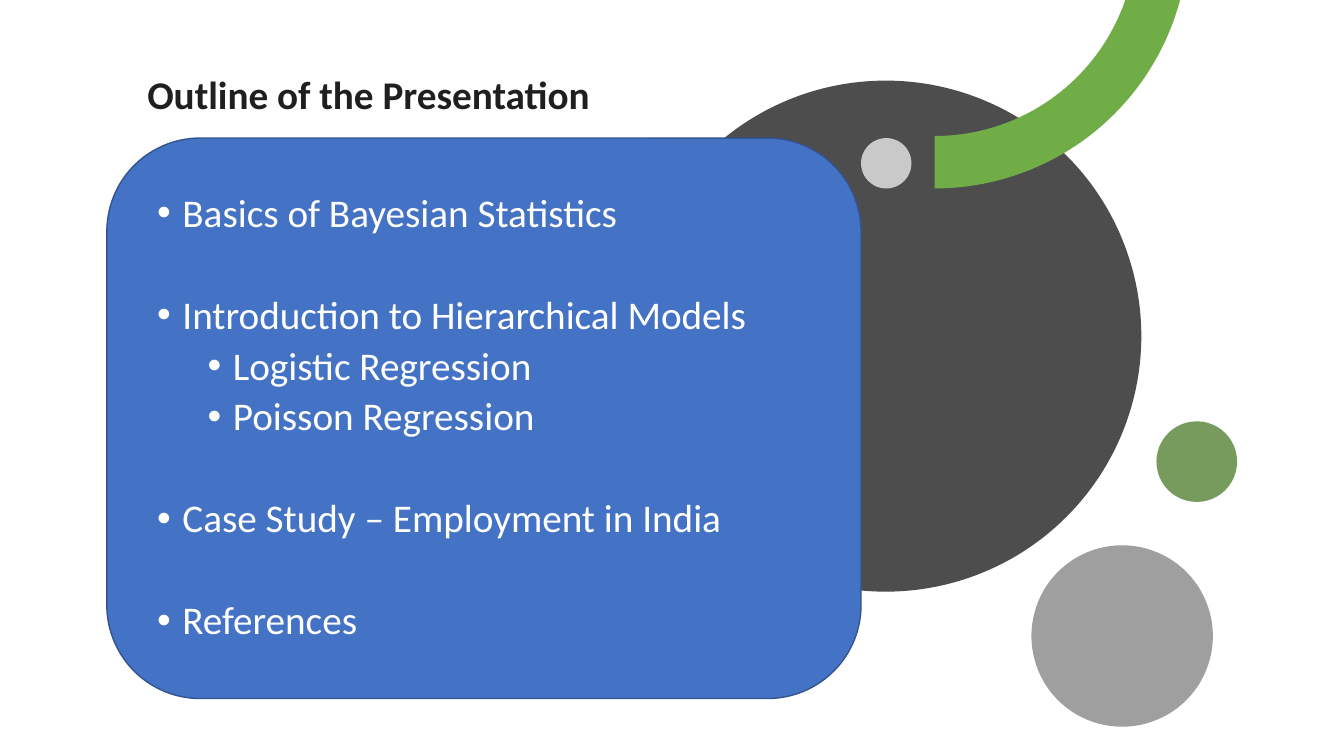
import math
from lxml import etree
from pptx import Presentation, util as u
from pptx.dml.color import RGBColor
from pptx.enum import shapes, text
from pptx.oxml.ns import qn

deck = Presentation()
deck.slide_width, deck.slide_height = u.Inches(13.33), u.Inches(7.5)
page = deck.slides.add_slide(deck.slide_layouts[6])


def paint(shape, fill, opacity=100, line=None):
    """Give a shape a flat fill, an optional outline and no shadow."""
    shape.shadow.inherit = False
    shape.fill.solid()
    shape.fill.fore_color.rgb = RGBColor.from_string(fill)
    if opacity < 100:
        color = shape.fill._xPr.find(qn("a:solidFill"))[0]
        etree.SubElement(color, qn("a:alpha"), val=str(opacity * 1000))
    if line:
        shape.line.color.rgb = RGBColor.from_string(line)
        shape.line.width = u.Pt(1)
    else:
        shape.line.fill.background()


def write(para, words, color, bold=False, align=text.PP_ALIGN.LEFT, size=28):
    """Put one formatted run into a paragraph."""
    para.alignment = align
    span = para.add_run()
    span.text = words
    span.font.name, span.font.size, span.font.bold = "Calibri", u.Pt(size), bold
    span.font.color.rgb = RGBColor.from_string(color)


def_circles = [  # left, top, diameter, fill, opacity
    (6.25, 0.8, 5.07, "4D4D4D", 100),
    (8.54, 1.37, 0.5, "FFFFFF", 70),
    (11.47, 4.18, 0.8, "548235", 80),
    (10.23, 5.41, 1.8, "404040", 50),
]

# Decorative circles
for left, top, diameter, fill, opacity in def_circles:
    circle = page.shapes.add_shape(
        shapes.MSO_SHAPE.OVAL, u.Inches(left), u.Inches(top),
        u.Inches(diameter), u.Inches(diameter))
    paint(circle, fill, opacity)

# Green ring segment, cut off by the top edge of the slide
center_x, center_y, steps = 9.27, -0.65, 40
edges = []
for radius in (2.52, 2.0):
    start = math.asin(-center_y / radius)
    angles = [start + (math.pi / 2 - start) * i / steps for i in range(steps + 1)]
    edges.append([(u.Inches(center_x + radius * math.cos(a)),
                   u.Inches(center_y + radius * math.sin(a))) for a in angles])
outline = edges[0] + edges[1][::-1]
builder = page.shapes.build_freeform(*outline[0])
builder.add_line_segments(outline[1:], close=True)
paint(builder.convert_to_shape(), "70AD47")

# Outline panel
panel = page.shapes.add_shape(
    shapes.MSO_SHAPE.ROUNDED_RECTANGLE, u.Inches(1.06), u.Inches(1.37),
    u.Inches(7.48), u.Inches(5.56))
paint(panel, "4472C4", line="325491")
panel.text_frame.word_wrap = True
panel.text_frame.vertical_anchor = text.MSO_ANCHOR.MIDDLE

topics = [  # words, level, space before in points
    ("Basics of Bayesian Statistics", 0, 0),
    ("Introduction to Hierarchical Models", 0, 36.5),
    ("Logistic Regression", 1, 0),
    ("Poisson Regression", 1, 0),
    ("Case Study – Employment in India", 0, 36.5),
    ("References", 0, 36.5),
]
for number, (words, level, gap) in enumerate(topics):
    frame = panel.text_frame
    para = frame.add_paragraph() if number else frame.paragraphs[0]
    write(para, words, "FFFFFF")
    para.level = level
    para.line_spacing = 0.9
    para.space_before, para.space_after = u.Pt(gap), u.Pt(6)
    props = para._p.get_or_add_pPr()
    props.set("marL", str(u.Inches(0.38 + 0.5 * level)))
    props.set("indent", str(u.Inches(-0.25)))
    etree.SubElement(props, qn("a:buFont"), typeface="Arial")
    etree.SubElement(props, qn("a:buChar"), char="•")

# Title
title = page.shapes.add_textbox(
    u.Inches(0.32), u.Inches(0.65), u.Inches(6.67), u.Inches(0.57))
title.text_frame.word_wrap = True
write(title.text_frame.paragraphs[0], "Outline of the Presentation", "1F1F1F",
      bold=True, align=text.PP_ALIGN.CENTER)

deck.save("out.pptx")
